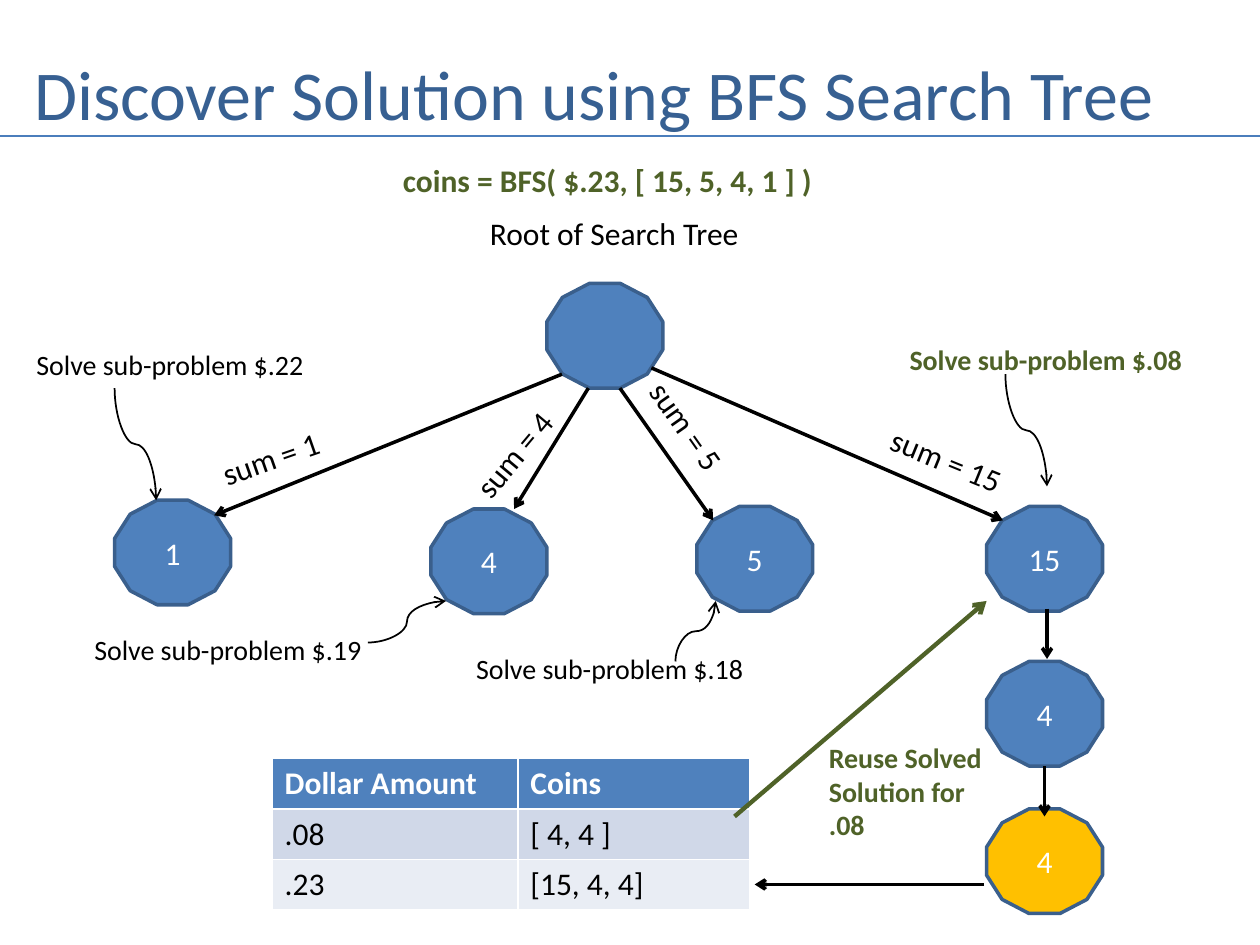
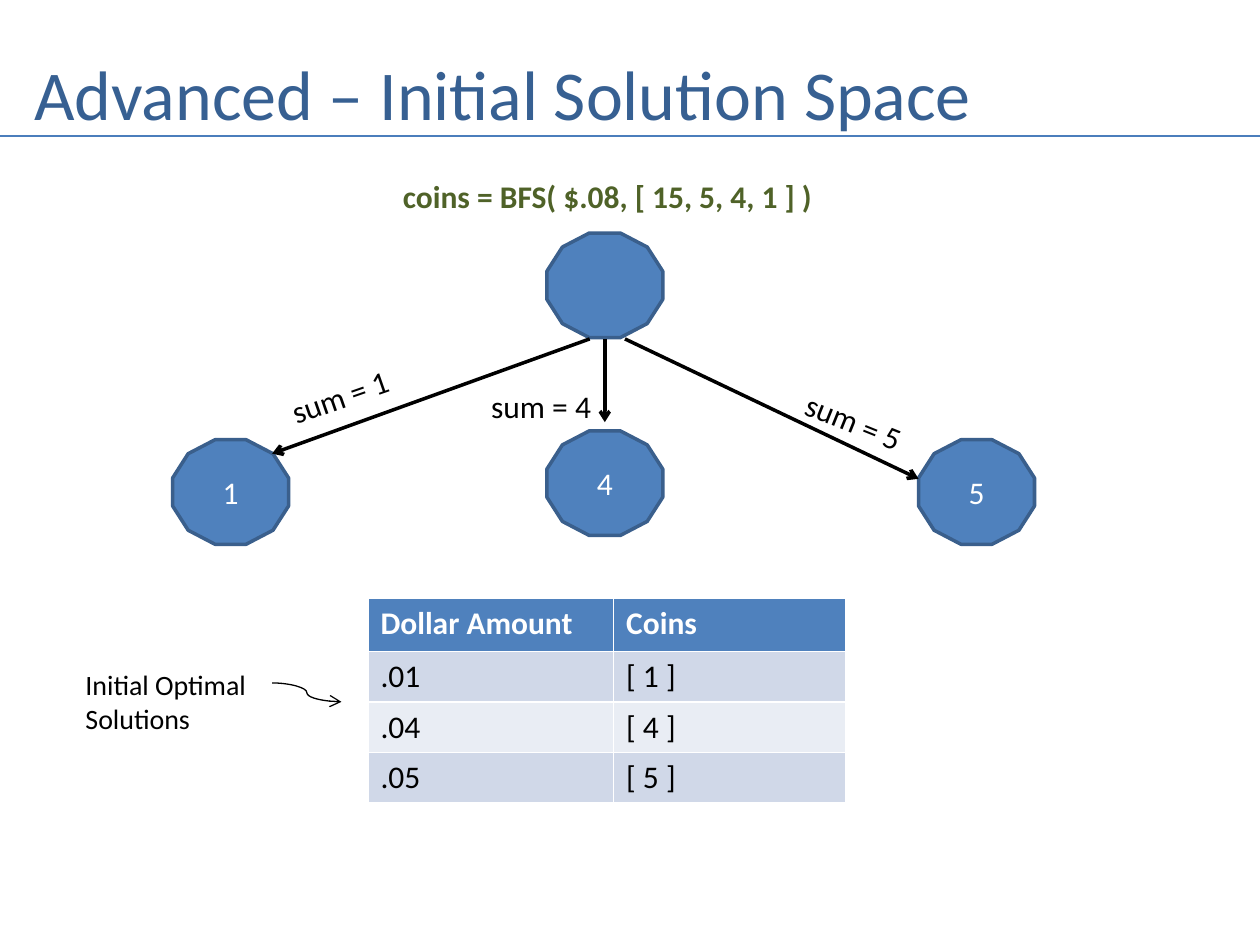
"""Build two slides on finding coin change with a breadth-first search tree."""
from dataclasses import dataclass

from lxml.etree import SubElement
from pptx import Presentation
from pptx.dml.color import RGBColor
from pptx.enum.shapes import MSO_CONNECTOR, MSO_SHAPE
from pptx.enum.text import MSO_ANCHOR, MSO_AUTO_SIZE, PP_ALIGN
from pptx.oxml.ns import qn
from pptx.slide import Slide
from pptx.text.text import TextFrame
from pptx.util import Inches, Pt

FONT = "Calibri"
BLACK = RGBColor(0x00, 0x00, 0x00)
WHITE = RGBColor(0xFF, 0xFF, 0xFF)
TITLE_BLUE = RGBColor(0x37, 0x60, 0x92)
RULE_BLUE = RGBColor(0x4B, 0x7E, 0xBC)
BLUE = RGBColor(0x4F, 0x81, 0xBD)
NODE_EDGE = RGBColor(0x3A, 0x5F, 0x8C)
GOLD = RGBColor(0xFF, 0xC0, 0x00)
GREEN = RGBColor(0x4F, 0x62, 0x28)
BANDS = (RGBColor(0xD0, 0xD8, 0xE8), RGBColor(0xE9, 0xED, 0xF4))

COLUMNS, ROWS = 100, 75
SLIDE_W, SLIDE_H = Inches(10), Inches(7.5)
NODE_W, NODE_H = 9.2, 8.3
TABLE_COLUMNS = (19.5, 18.4)
TABLE_ROW = 4


@dataclass(frozen=True)
class Node:
    """A tree node with its top left grid corner."""
    x: float
    y: float
    text: str = ""
    fill: RGBColor = BLUE


@dataclass(frozen=True)
class Label:
    """A text box on the grid."""
    x: float
    y: float
    w: float
    h: float
    text: str
    size: float = 18
    rotation: float = 0
    color: RGBColor = BLACK
    bold: bool = False


@dataclass(frozen=True)
class Arrow:
    """A straight arrow, or a curve that leaves along one axis."""
    x1: float
    y1: float
    x2: float
    y2: float
    width: float = 2
    color: RGBColor = BLACK
    curved: bool = False
    upright: bool = False
    head: bool = True


@dataclass(frozen=True)
class CoinTable:
    """Solved amounts and their coins, below a header row."""
    x: float
    y: float
    solved: tuple[tuple[str, str], ...]
    header_h: float = TABLE_ROW


def col(n: float) -> int:
    """Return the length of n grid columns."""
    return round(SLIDE_W * n / COLUMNS)


def row(n: float) -> int:
    """Return the length of n grid rows."""
    return round(SLIDE_H * n / ROWS)


def write(tf: TextFrame, text: str, *, size: float = 18, color: RGBColor = BLACK,
          bold: bool = False, align: PP_ALIGN = PP_ALIGN.LEFT) -> None:
    """Fill a text frame with one formatted paragraph per line."""
    for i, line in enumerate(text.split("\n")):
        p = tf.paragraphs[0] if i == 0 else tf.add_paragraph()
        p.alignment = align
        r = p.add_run()
        r.text = line
        r.font.name, r.font.size, r.font.bold = FONT, Pt(size), bold
        r.font.color.rgb = color


def draw_arrow(s: Slide, arrow: Arrow) -> None:
    """Draw a connector; an upright curve is laid flat and turned by 90 degrees."""
    x1, y1, x2, y2 = arrow.x1, arrow.y1, arrow.x2, arrow.y2
    if arrow.upright:
        cx, cy, dx, dy = (x1 + x2) / 2, (y1 + y2) / 2, (x2 - x1) / 2, (y2 - y1) / 2
        x1, y1, x2, y2 = cx - dy, cy + dx, cx + dy, cy - dx
    kind = MSO_CONNECTOR.CURVE if arrow.curved else MSO_CONNECTOR.STRAIGHT
    c = s.shapes.add_connector(kind, col(x1), row(y1), col(x2), row(y2))
    c.line.color.rgb, c.line.width = arrow.color, Pt(arrow.width)
    sp_pr = c.element.spPr
    if arrow.upright:
        sp_pr.find(qn("a:xfrm")).set("rot", str(90 * 60000))
    if arrow.head:
        SubElement(sp_pr.find(qn("a:ln")), qn("a:tailEnd"), type="arrow")
    SubElement(sp_pr, qn("a:effectLst"))


def draw_node(s: Slide, node: Node) -> None:
    """Draw a twelve-sided tree node."""
    sp = s.shapes.add_shape(MSO_SHAPE.DODECAGON, col(node.x), row(node.y),
                            col(NODE_W), row(NODE_H))
    sp.shadow.inherit = False
    sp.fill.solid()
    sp.fill.fore_color.rgb = node.fill
    sp.line.color.rgb, sp.line.width = NODE_EDGE, Pt(2)
    sp.text_frame.vertical_anchor = MSO_ANCHOR.MIDDLE
    if node.text:
        write(sp.text_frame, node.text, color=WHITE, align=PP_ALIGN.CENTER)


def draw_label(s: Slide, label: Label) -> None:
    """Draw a text box, turned where the label follows an edge."""
    sp = s.shapes.add_textbox(col(label.x), row(label.y), col(label.w), row(label.h))
    sp.rotation = label.rotation
    tf = sp.text_frame
    tf.word_wrap, tf.auto_size = False, MSO_AUTO_SIZE.SHAPE_TO_FIT_TEXT
    write(tf, label.text, size=label.size, color=label.color, bold=label.bold)


def draw_table(s: Slide, coins: CoinTable) -> None:
    """Draw the table of solved amounts with banded rows."""
    cells = (("Dollar Amount", "Coins"), *coins.solved)
    heights = [coins.header_h] + [TABLE_ROW] * len(coins.solved)
    table = s.shapes.add_table(len(cells), len(TABLE_COLUMNS), col(coins.x), row(coins.y),
                               col(sum(TABLE_COLUMNS)), row(sum(heights))).table
    for column, width in zip(table.columns, TABLE_COLUMNS):
        column.width = col(width)
    for i, (texts, height) in enumerate(zip(cells, heights)):
        header = i == 0
        table.rows[i].height = row(height)
        for j, text in enumerate(texts):
            cell = table.cell(i, j)
            cell.fill.solid()
            cell.fill.fore_color.rgb = BLUE if header else BANDS[(i - 1) % 2]
            write(cell.text_frame, text, color=WHITE if header else BLACK, bold=header)


def draw_slide(prs: Presentation, title: str, *parts: Node | Label | Arrow | CoinTable) -> None:
    """Add a titled slide with its rule and draw its parts in order."""
    s = prs.slides.add_slide(prs.slide_layouts[5])
    sp = s.shapes.title
    sp.left, sp.top, sp.width, sp.height = col(1.7), row(3), col(97.5), row(8.7)
    tf = sp.text_frame
    tf.vertical_anchor, tf.auto_size = MSO_ANCHOR.MIDDLE, MSO_AUTO_SIZE.NONE
    write(tf, title, size=40, color=TITLE_BLUE)
    draw_arrow(s, Arrow(0, 10.8, COLUMNS, 10.8, 1.5, RULE_BLUE, head=False))
    draw = {Node: draw_node, Label: draw_label, Arrow: draw_arrow, CoinTable: draw_table}
    for part in parts:
        draw[type(part)](s, part)


def sub_problem(x: float, y: float, amount: str, color: RGBColor = BLACK,
                bold: bool = False) -> Label:
    """Return the label that names a sub-problem."""
    return Label(x, y, 23.9 if bold else 23.5, 3.7, f"Solve sub-problem {amount}", 16,
                 color=color, bold=bold)


def call(y: float, amount: str) -> Label:
    """Return the label that shows the search call."""
    return Label(31, y, 35.6, 4, f"coins = BFS( {amount}, [ 15, 5, 4, 1 ] )",
                 color=GREEN, bold=True)


def curve(x1: float, y1: float, x2: float, y2: float, upright: bool = False,
          width: float = 1) -> Arrow:
    """Return a thin curved pointer."""
    return Arrow(x1, y1, x2, y2, width, curved=True, upright=upright)


def main() -> None:
    """Build and save the presentation."""
    prs = Presentation()
    prs.slide_width, prs.slide_height = SLIDE_W, SLIDE_H
    draw_slide(
        prs, "Discover Solution using BFS Search Tree",
        Node(9.1, 39.7, "1"), Node(34.2, 40.4, "4"), Node(55.3, 40.2, "5"),
        Node(43.4, 22.5),
        Arrow(44.6, 29.7, 17, 40.9), Arrow(46.7, 30.8, 40.8, 40.4),
        Arrow(49.2, 30.8, 56.6, 41.3),
        Label(37.9, 16.5, 22, 4, "Root of Search Tree"),
        Label(16.5, 34.3, 10.2, 4, "sum = 1", rotation=340.8),
        Label(49.3, 32.2, 10.9, 4.1, "sum = 5", rotation=54.9),
        Label(35.8, 34, 10, 4, "sum = 4", rotation=309.9),
        call(12.3, "$.23"),
        Node(78.3, 40.2, "15"),
        Arrow(51.7, 29.2, 79.6, 41.3),
        Label(69.5, 34.7, 12.3, 4, "sum = 15", rotation=22.2),
        Node(78.3, 52.5, "4"), Node(78.3, 64.2, "4", GOLD),
        CoinTable(21.6, 60.2, ((".08", "[ 4, 4 ]"), (".23", "[15, 4, 4]"))),
        sub_problem(1.9, 27.1, "$.22"), curve(9.1, 30.8, 12.4, 39.7, upright=True),
        sub_problem(71.2, 26.7, "$.08", GREEN, True),
        curve(79.8, 29.7, 83.1, 38.6, upright=True),
        sub_problem(6.5, 49.7, "$.19"), curve(29.2, 51, 35.4, 47.7),
        sub_problem(36.8, 51.2, "$.18"), curve(53.6, 52.5, 56.8, 47.7, upright=True),
        Arrow(83.1, 48.3, 83.1, 52.3), Arrow(82.9, 60.8, 82.9, 64.8),
        Arrow(58.3, 64.8, 78.3, 47.7, 2.5, GREEN),
        Label(64.8, 58.3, 14.3, 9.1, "Reuse Solved\nSolution for\n.08", 16,
              color=GREEN, bold=True),
        Arrow(78.1, 70.2, 59.9, 70.2),
    )
    draw_slide(
        prs, "Advanced – Initial Solution Space",
        Node(13.7, 34.9, "1"), Node(43.4, 34.2, "4"), Node(72.9, 34.9, "5"),
        Node(43.4, 18.5),
        call(13.6, "$.08"),
        Arrow(46.8, 26.9, 21.6, 36), Arrow(48, 26.9, 48, 33.5),
        Arrow(49.6, 26.9, 72.9, 38),
        Label(22, 29.4, 10.2, 4, "sum = 1", rotation=340.8),
        Label(62.8, 31.5, 10.2, 4, "sum = 5", rotation=22.1),
        Label(38, 30.2, 10, 4, "sum = 4"),
        CoinTable(29.2, 47.5, ((".01", "[ 1 ]"), (".04", "[ 4 ]"), (".05", "[ 5 ]")), 4.2),
        Label(5.8, 52.5, 14.9, 6.4, "Initial Optimal\nSolutions", 16),
        curve(21.6, 54.2, 27.1, 55.7, width=0.75),
    )
    prs.save("out.pptx")


if __name__ == "__main__":
    main()
